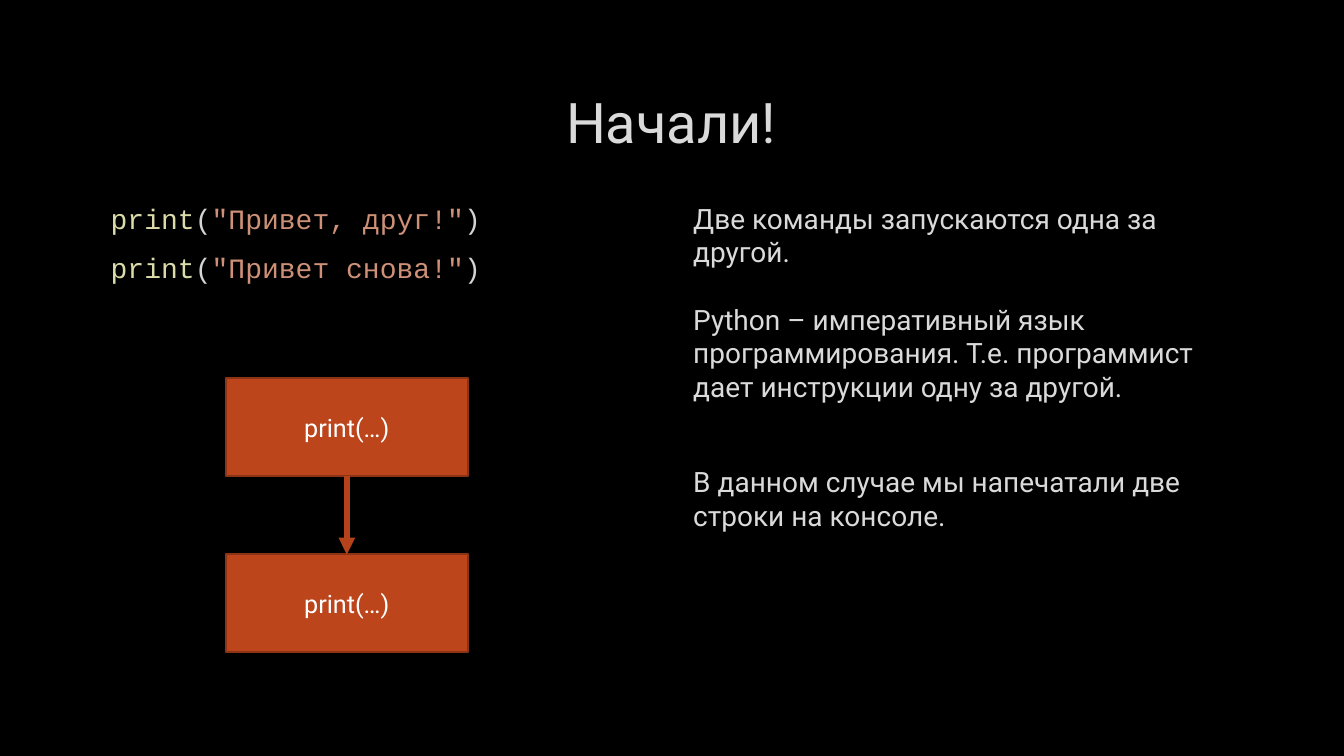
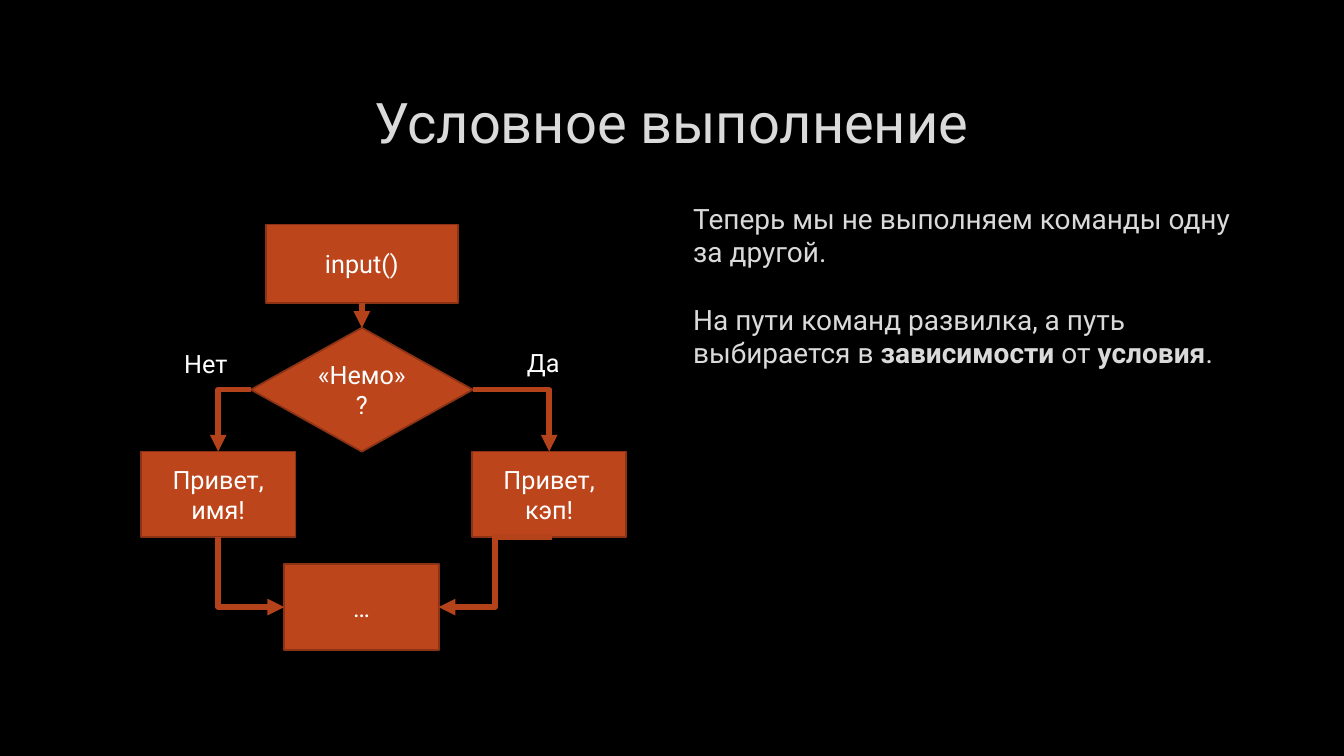
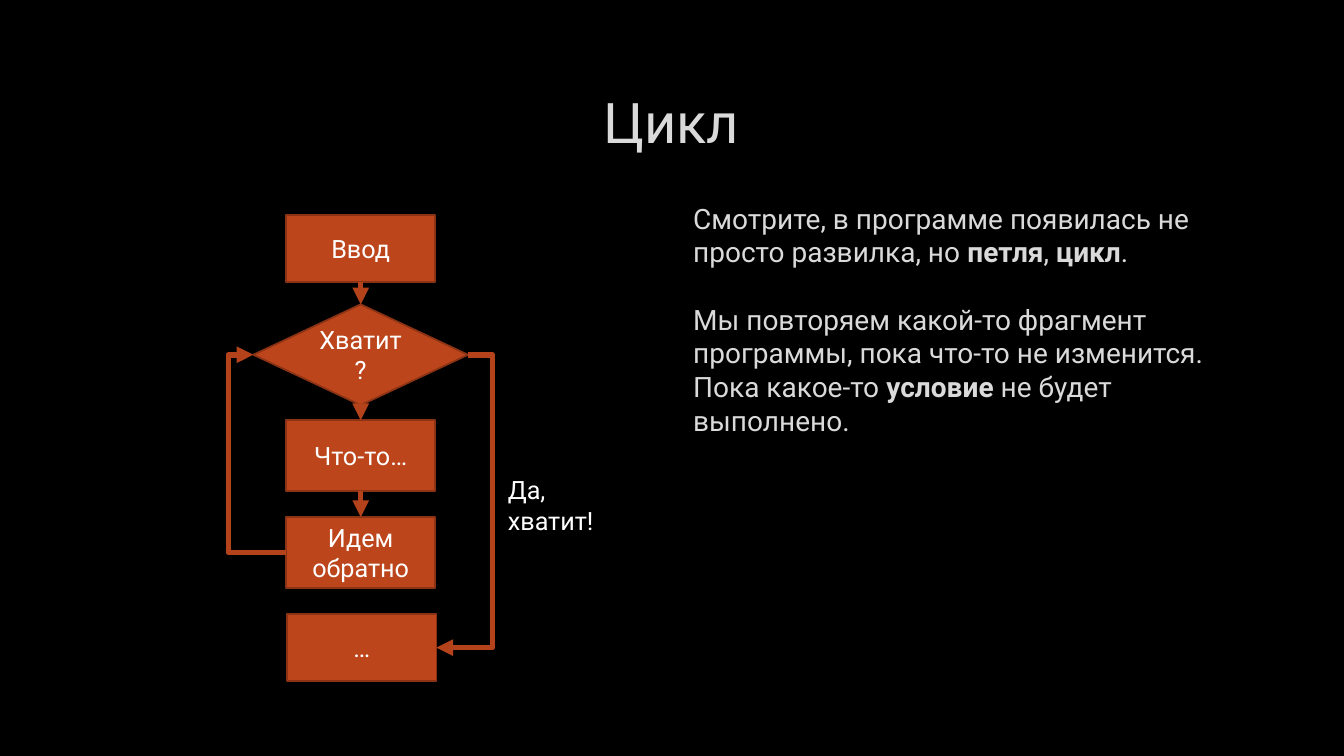
from dataclasses import dataclass, field
from typing import Any, Optional

from lxml.etree import SubElement
from pptx import Presentation
from pptx.dml.color import RGBColor
from pptx.enum.shapes import MSO_AUTO_SHAPE_TYPE as Form, MSO_CONNECTOR as Route
from pptx.enum.text import MSO_ANCHOR as Anchor, MSO_AUTO_SIZE as AutoSize, PP_ALIGN as Align
from pptx.oxml.ns import qn
from pptx.util import Cm, Pt

TOP, LEFT, BOTTOM, RIGHT = range(4)


@dataclass(frozen=True)
class Theme:
    background: str = "000000"
    text: str = "DADADA"
    bright: str = "FFFFFF"
    function: str = "DCDCAA"
    bracket: str = "D4D4D4"
    string: str = "CE9178"
    node: str = "BC451B"
    node_edge: str = "8B3314"
    arrow: str = "B4421A"
    font: str = "Roboto"
    code_font: str = "Courier New"
    title_size: int = 40
    body_size: int = 20
    label_size: int = 18
    edge_width: float = 1.25
    arrow_width: float = 4


THEME = Theme()


@dataclass(frozen=True)
class Box:
    left: float
    top: float
    width: float
    height: float

    def lengths(self) -> list[Cm]:
        return [Cm(side) for side in (self.left, self.top, self.width, self.height)]


TITLE_BOX = Box(2.54, 1.7, 28.75, 2.69)
CODE_BOX = Box(2.54, 4.95, 14.05, 11.1)
STORY_BOX = Box(17.22, 4.95, 14.07, 11.1)


@dataclass(frozen=True)
class Piece:
    text: str
    bold: bool = False
    color: str = THEME.text
    font: str = THEME.font
    size: int = THEME.body_size


@dataclass(frozen=True)
class Passage:
    pieces: list[Piece]
    before: float = 0


@dataclass(frozen=True)
class Node:
    label: str
    center: float
    top: float
    width: float
    height: float
    form: Form = Form.FLOWCHART_PROCESS

    def box(self) -> Box:
        return Box(self.center - self.width / 2, self.top, self.width, self.height)


@dataclass(frozen=True)
class Link:
    source: str
    source_side: int
    target: str
    target_side: int
    preset: str = "line"
    bend: Optional[int] = None
    arrow_end: str = "tailEnd"
    free_start: Optional[tuple[float, float]] = None


@dataclass(frozen=True)
class Caption:
    text: str
    box: Box


@dataclass(frozen=True)
class Lesson:
    title: str
    story: list[Passage]
    nodes: dict[str, Node]
    links: list[Link]
    code: list[Passage] = field(default_factory=list)
    captions: list[Caption] = field(default_factory=list)


def assign(target: Any, formats: dict[str, Any]) -> None:
    for name, value in formats.items():
        setattr(target, name, value)


def rgb(color: str) -> RGBColor:
    return RGBColor.from_string(color)


def write(frame: Any, passages: list[Passage], align: Align = Align.LEFT,
          anchor: Anchor = Anchor.TOP) -> None:
    assign(frame, {"word_wrap": True, "vertical_anchor": anchor})
    for index, passage in enumerate(passages):
        paragraph = frame.add_paragraph() if index else frame.paragraphs[0]
        paragraph.alignment = align
        if passage.before:
            paragraph.space_before = Pt(passage.before)
        for piece in passage.pieces:
            run = paragraph.add_run()
            run.text = piece.text
            assign(run.font, {"name": piece.font, "size": Pt(piece.size), "bold": piece.bold})
            run.font.color.rgb = rgb(piece.color)


def label(text: str) -> list[Passage]:
    return [Passage([Piece(text, color=THEME.bright, size=THEME.label_size)])]


def add_text(slide: Any, box: Box, passages: list[Passage], **layout: Any) -> Any:
    frame = slide.shapes.add_textbox(*box.lengths()).text_frame
    write(frame, passages, **layout)
    return frame


def add_node(slide: Any, node: Node) -> Any:
    step = slide.shapes.add_shape(node.form, *node.box().lengths())
    step.shadow.inherit = False
    step.fill.solid()
    step.fill.fore_color.rgb = rgb(THEME.node)
    step.line.color.rgb = rgb(THEME.node_edge)
    step.line.width = Pt(THEME.edge_width)
    write(step.text_frame, label(node.label), Align.CENTER, Anchor.MIDDLE)
    return step


def add_link(slide: Any, link: Link, steps: dict[str, Any]) -> None:
    route = Route.STRAIGHT if link.preset == "line" else Route.ELBOW
    start = [Cm(place) for place in link.free_start or (0, 0)]
    arrow = slide.shapes.add_connector(route, *start, *start)
    if link.free_start is None:
        arrow.begin_connect(steps[link.source], link.source_side)
    arrow.end_connect(steps[link.target], link.target_side)
    arrow.line.color.rgb = rgb(THEME.arrow)
    arrow.line.width = Pt(THEME.arrow_width)
    properties = arrow._element.spPr
    geometry = properties.find(qn("a:prstGeom"))
    geometry.set("prst", link.preset)
    if link.bend is not None:
        SubElement(geometry.find(qn("a:avLst")), qn("a:gd"), name="adj1", fmla=f"val {link.bend}")
    SubElement(properties.find(qn("a:ln")), qn(f"a:{link.arrow_end}"), type="triangle")
    SubElement(properties, qn("a:effectLst"))


def add_lesson(deck: Any, lesson: Lesson) -> None:
    slide = deck.slides.add_slide(deck.slide_layouts[6])
    heading = [Passage([Piece(lesson.title, size=THEME.title_size)])]
    add_text(slide, TITLE_BOX, heading, align=Align.CENTER, anchor=Anchor.MIDDLE)
    if lesson.code:
        add_text(slide, CODE_BOX, lesson.code)
    add_text(slide, STORY_BOX, lesson.story)
    steps = {name: add_node(slide, node) for name, node in lesson.nodes.items()}
    for link in lesson.links:
        add_link(slide, link, steps)
    for caption in lesson.captions:
        add_text(slide, caption.box, label(caption.text)).auto_size = AutoSize.SHAPE_TO_FIT_TEXT


def print_call(message: str, before: float = 0) -> Passage:
    parts = [("print", THEME.function), ("(", THEME.bracket),
             (f'"{message}"', THEME.string), (")", THEME.bracket)]
    return Passage([Piece(text, color=color, font=THEME.code_font) for text, color in parts], before)


SEQUENCE = Lesson(
    title="Начали!",
    code=[print_call("Привет, друг!"), print_call("Привет снова!", 11)],
    story=[
        Passage([Piece("Две команды запускаются одна за другой.")]),
        Passage([Piece("Python – императивный язык программирования. "
                       "Т.е. программист дает инструкции одну за другой.")], 24),
        Passage([Piece("В данном случае мы напечатали две строки на консоле.")], 44),
    ],
    nodes={
        "first": Node("print(…)", 8.74, 9.53, 6.1, 2.46, Form.RECTANGLE),
        "second": Node("print(…)", 8.74, 13.97, 6.1, 2.46, Form.RECTANGLE),
    },
    links=[Link("first", BOTTOM, "second", TOP)],
)

CONDITION = Lesson(
    title="Условное выполнение",
    story=[
        Passage([Piece("Теперь мы не выполняем команды одну за другой.")]),
        Passage([
            Piece("На пути команд развилка, а путь выбирается в "),
            Piece("зависимости", bold=True),
            Piece(" от "),
            Piece("условия", bold=True),
            Piece("."),
        ], 24),
    ],
    nodes={
        "check": Node("«Немо» ?", 9.12, 8.26, 5.59, 3.12, Form.FLOWCHART_DECISION),
        "input": Node("input()", 9.12, 5.66, 4.83, 1.98),
        "captain": Node("Привет, кэп!", 13.84, 11.38, 3.89, 2.16),
        "name": Node("Привет, имя!", 5.5, 11.38, 3.89, 2.16),
        "rest": Node("…", 9.11, 14.22, 3.89, 2.16),
    },
    links=[
        Link("input", BOTTOM, "check", TOP),
        Link("check", RIGHT, "captain", TOP, "bentConnector2"),
        Link("check", LEFT, "name", TOP, "bentConnector2"),
        Link("rest", LEFT, "name", BOTTOM, "bentConnector2", arrow_end="headEnd"),
        Link("captain", BOTTOM, "rest", RIGHT, "bentConnector3", free_start=(13.9, 13.54)),
    ],
    captions=[
        Caption("Нет", Box(4.39, 8.66, 2.54, 1.02)),
        Caption("Да", Box(13.03, 8.62, 2.54, 1.02)),
    ],
)

LOOP = Lesson(
    title="Цикл",
    story=[
        Passage([
            Piece("Смотрите, в программе появилась не просто развилка, но "),
            Piece("петля", bold=True),
            Piece(", "),
            Piece("цикл", bold=True),
            Piece("."),
        ]),
        Passage([
            Piece("Мы повторяем какой-то фрагмент программы, "
                  "пока что-то не изменится. Пока какое-то "),
            Piece("условие", bold=True),
            Piece(" не будет выполнено."),
        ], 24),
    ],
    nodes={
        "input": Node("Ввод", 9.09, 5.41, 3.76, 1.7),
        "rest": Node("…", 9.12, 15.47, 3.76, 1.7),
        "check": Node("Хватит?", 9.09, 7.67, 5.41, 2.54, Form.FLOWCHART_DECISION),
        "back": Node("Идем обратно", 9.09, 13.03, 3.76, 1.78),
        "action": Node("Что-то…", 9.09, 10.59, 3.76, 1.78),
    },
    links=[
        Link("input", BOTTOM, "check", TOP),
        Link("check", BOTTOM, "action", TOP),
        Link("action", BOTTOM, "back", TOP),
        Link("check", RIGHT, "rest", RIGHT, "bentConnector3", -78100),
        Link("back", LEFT, "check", LEFT, "bentConnector3", 176400),
    ],
    captions=[Caption("Да, хватит!", Box(12.55, 11.84, 3.48, 1.02))],
)


def main() -> None:
    deck = Presentation()
    assign(deck, {"slide_width": Cm(33.87), "slide_height": Cm(19.05)})
    backdrop = deck.slide_master.background.fill
    backdrop.solid()
    backdrop.fore_color.rgb = rgb(THEME.background)
    for lesson in (SEQUENCE, CONDITION, LOOP):
        add_lesson(deck, lesson)
    deck.save("out.pptx")


if __name__ == "__main__":
    main()
